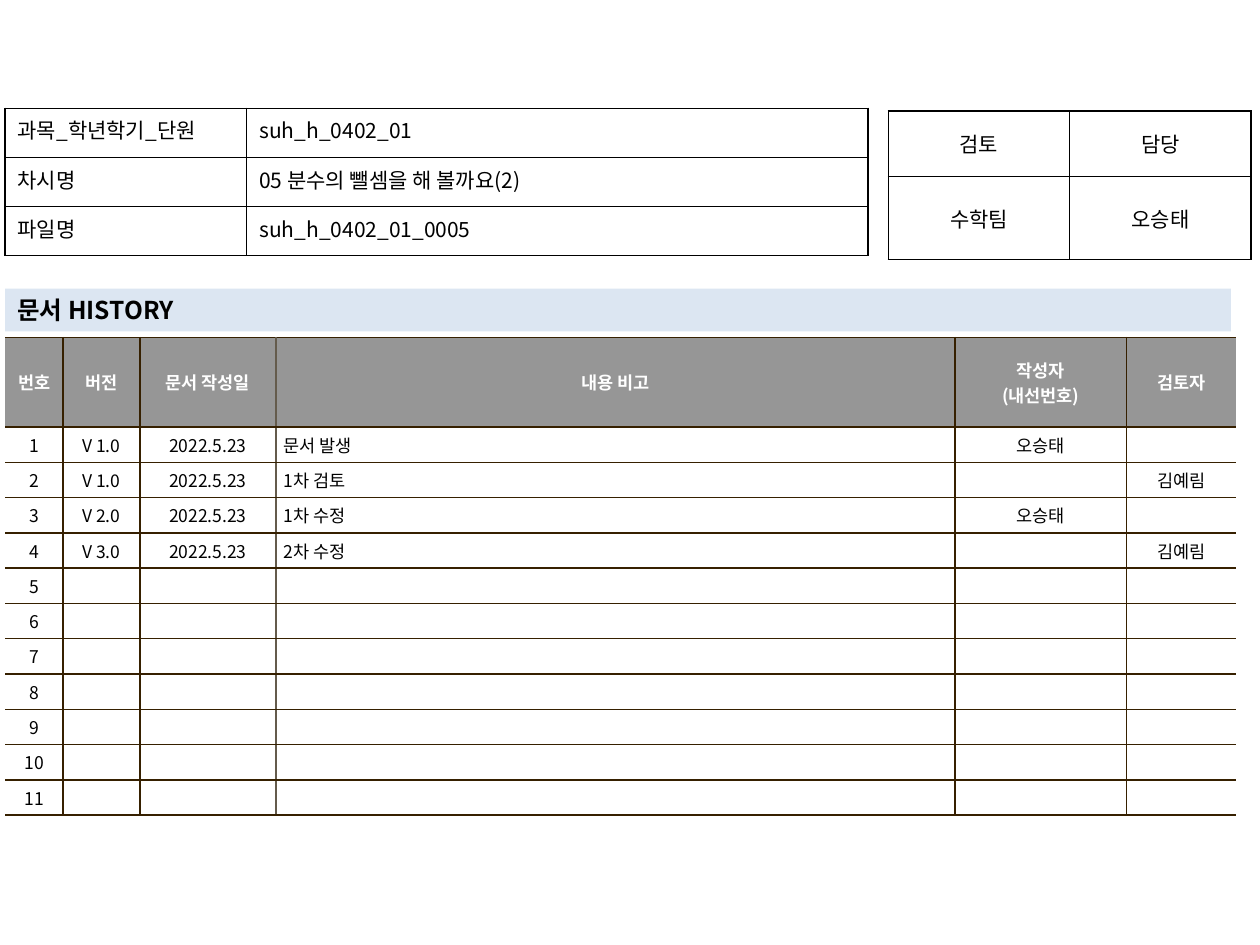
from dataclasses import dataclass

from lxml import etree
from pptx import Presentation
from pptx.dml.color import RGBColor
from pptx.enum.shapes import MSO_SHAPE
from pptx.enum.text import MSO_ANCHOR, PP_ALIGN
from pptx.oxml.ns import qn
from pptx.util import Inches, Pt

LEFT, CENTER, JUSTIFY = PP_ALIGN.LEFT, PP_ALIGN.CENTER, PP_ALIGN.JUSTIFY
TOP, MIDDLE = MSO_ANCHOR.TOP, MSO_ANCHOR.MIDDLE
RECT = MSO_SHAPE.RECTANGLE


@dataclass(frozen=True)
class Theme:
    font: str = "Noto Sans CJK KR"
    black: str = "000000"
    white: str = "FFFFFF"
    head: str = "969696"
    band: str = "DCE6F2"
    brown: str = "362000"
    taupe: str = "645B4C"
    small: int = 10
    body: int = 12
    title: int = 14


THEME = Theme()


def write(frame, text, size, color=THEME.black, bold=False, align=LEFT):
    frame.text = text
    for para in frame.paragraphs:
        para.alignment = align
        for run in para.runs:
            font = run.font
            font.name, font.size, font.bold = THEME.font, Pt(size), bold
            font.color.rgb = RGBColor.from_string(color)
            # Hangul takes the East Asian typeface
            east = etree.Element(qn("a:ea"), typeface=THEME.font)
            font._element.find(qn("a:latin")).addnext(east)
        if not para.runs:
            # An empty cell keeps the row at the height of its text size
            etree.SubElement(para._p, qn("a:endParaRPr"), sz=str(size * 100))


def paint(cell, color):
    cell.fill.solid()
    cell.fill.fore_color.rgb = RGBColor.from_string(color)


def border(cell, left, right, top, bottom):
    """Draw the four sides in order; None leaves a side without a line."""
    sides = zip(("a:lnL", "a:lnR", "a:lnT", "a:lnB"), (left, right, top, bottom))
    for spot, (tag, color) in enumerate(sides):
        line = etree.Element(qn(tag), w=str(Pt(1)))
        if color:
            fill = etree.SubElement(line, qn("a:solidFill"))
            etree.SubElement(fill, qn("a:srgbClr"), val=color)
        else:
            etree.SubElement(line, qn("a:noFill"))
        cell._tc.get_or_add_tcPr().insert(spot, line)


def inset(cell, side, edge):
    cell.margin_left = cell.margin_right = Inches(side)
    cell.margin_top = cell.margin_bottom = Inches(edge)


def grid(slide, left, top, cols, rows):
    frame = slide.shapes.add_table(
        len(rows), len(cols), Inches(left), Inches(top),
        Inches(sum(cols)), Inches(sum(rows)))
    table = frame.table
    table.first_row = table.horz_banding = False
    for col, width in zip(table.columns, cols):
        col.width = Inches(width)
    for row, height in zip(table.rows, rows):
        row.height = Inches(height)
    return table


def boxed(slide, box, data, shares, heights, aligns, anchor):
    """Black-ruled table; column shares and row heights divide the box."""
    left, top, width = box
    cols = [width * share for share in shares]
    table = grid(slide, left, top, cols, heights)
    for r, texts in enumerate(data):
        for c, text in enumerate(texts):
            cell = table.cell(r, c)
            cell.fill.background()
            cell.vertical_anchor = anchor
            inset(cell, 0.1, 0.05)
            write(cell.text_frame, text, THEME.body, align=aligns[c])
            border(cell, *[THEME.black] * 4)


def heading(slide, left, top, width, height):
    bar = slide.shapes.add_shape(
        RECT, Inches(left), Inches(top), Inches(width), Inches(height))
    bar.shadow.inherit = False
    bar.fill.solid()
    bar.fill.fore_color.rgb = RGBColor.from_string(THEME.band)
    bar.line.fill.background()
    bar.text_frame.vertical_anchor = MIDDLE
    write(bar.text_frame, "문서 HISTORY", THEME.title, bold=True)


def history(slide, left, top):
    heads = ["번호", "버전", "문서 작성일", "내용 비고", "작성자\n(내선번호)", "검토자"]
    day, author, checker = "2022.5.23", "오승태", "김예림"
    entries = [
        ["V 1.0", day, "문서 발생", author, ""],
        ["V 1.0", day, "1차 검토", "", checker],
        ["V 2.0", day, "1차 수정", author, ""],
        ["V 3.0", day, "2차 수정", "", checker],
    ]
    count, note, last = 11, 3, len(heads) - 1
    entries += [[""] * last] * (count - len(entries))
    data = [heads] + [[str(n), *entry] for n, entry in enumerate(entries, 1)]

    cols = [0.46, 0.61, 1.08, 5.39, 1.36, 0.87]
    table = grid(slide, left, top, cols, [0.71] + [0.25] * count)
    # Vertical rules between columns; the outer sides stay open
    rules = [None] + [THEME.brown] * last + [None]
    rules[note] = THEME.taupe
    for r, texts in enumerate(data):
        first = r == 0
        for c, text in enumerate(texts):
            cell = table.cell(r, c)
            paint(cell, THEME.head if first else THEME.white)
            cell.vertical_anchor = MIDDLE
            inset(cell, 0.06, 0.04)
            write(cell.text_frame, text, THEME.small,
                  THEME.white if first else THEME.black, first,
                  LEFT if c == note and not first else CENTER)
            border(cell, rules[c], rules[c + 1], THEME.brown, THEME.brown)
            # Notes and checkers hang from their first line
            hang = {note: 0.19, last: 0.09}.get(c)
            if hang and text and not first:
                props = cell.text_frame.paragraphs[0]._p.get_or_add_pPr()
                props.set("marL", str(Inches(hang)))
                props.set("indent", str(-Inches(hang)))


def main():
    prs = Presentation()
    prs.slide_width, prs.slide_height = Inches(10), Inches(7.5)
    slide = prs.slides.add_slide(prs.slide_layouts[6])
    edge = 0.04

    # Change history
    history(slide, edge, 2.68)

    # Sign-off
    boxed(slide, (7.05, 0.88, 2.88), [["검토", "담당"], ["수학팀", "오승태"]],
          [0.5, 0.5], [0.52, 0.66], [CENTER, CENTER], MIDDLE)

    # Section heading
    heading(slide, edge, 2.29, 9.73, 0.34)

    # Lesson details
    lesson = [
        ["과목_학년학기_단원 ", "suh_h_0402_01"],
        ["차시명", "05 분수의 뺄셈을 해 볼까요(2)"],
        ["파일명", "suh_h_0402_01_0005"],
    ]
    boxed(slide, (edge, 0.86, 6.85), lesson, [0.28, 0.72],
          [0.39] * 3, [JUSTIFY, LEFT], TOP)

    prs.save("out.pptx")


if __name__ == "__main__":
    main()
